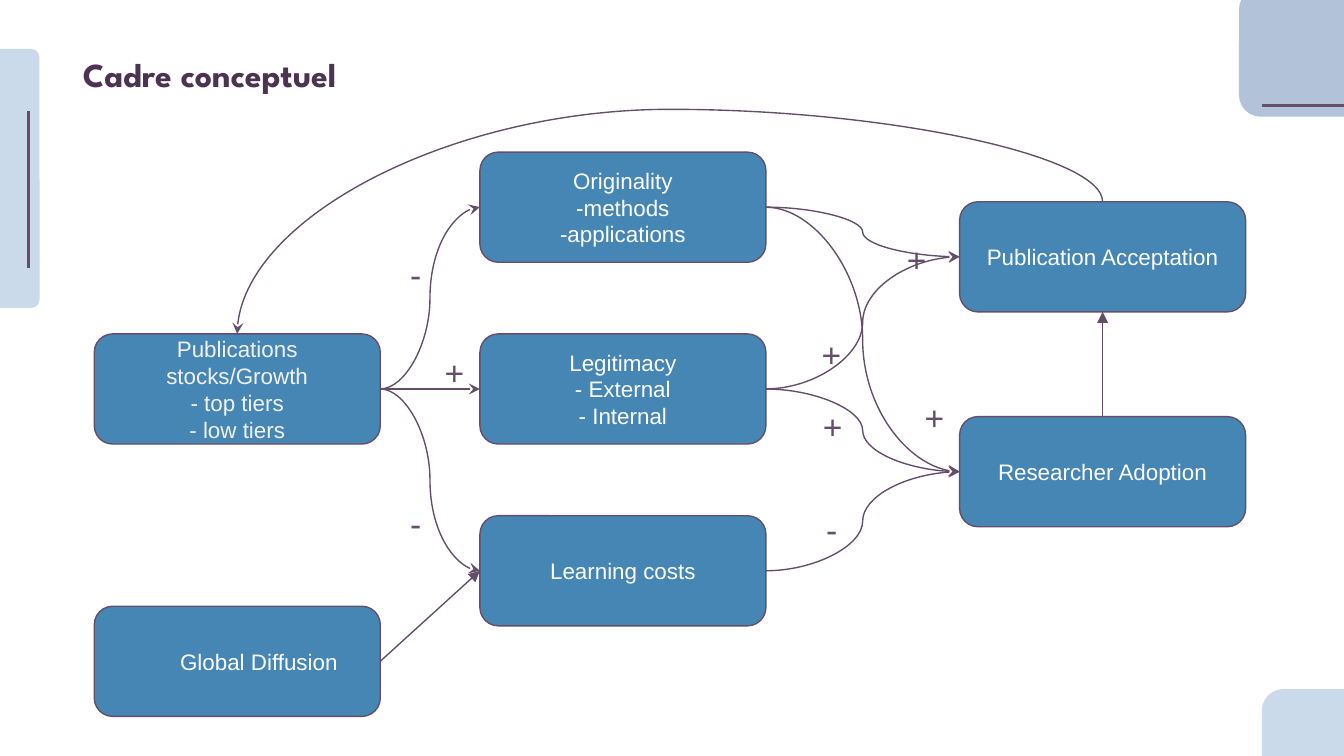
"""Build the conceptual framework slide, with its boxes, signs and arrows."""
from lxml.etree import SubElement
from pptx import Presentation
from pptx.dml.color import RGBColor
from pptx.enum.shapes import MSO_CONNECTOR, MSO_SHAPE
from pptx.enum.text import MSO_ANCHOR, PP_ALIGN
from pptx.oxml.ns import qn
from pptx.util import Pt

COLORS = {
    "pale": "CADAEB", "steel": "B2C3D9", "box": "4586B5", "line": "654E6A",
    "title": "4C3352", "white": "FFFFFF", "light": "F2F2F2",
}
FORMATS = {
    "title": {"name": "League Spartan", "size": Pt(18), "bold": True},
    "sign": {"name": "Arial", "size": Pt(18)},
    "box": {"name": "Arial", "size": Pt(12)},
}
FRAME = {"word_wrap": True, "margin_left": Pt(7.2), "margin_right": Pt(7.2),
         "margin_top": Pt(7.2), "margin_bottom": Pt(7.2)}
BOX_WIDTH, BOX_HEIGHT = 153.2, 59
LEFT, MIDDLE, RIGHT = 50.5, 257.1, 514.1
TOP, LEFT_SIDE, BOTTOM, RIGHT_SIDE = range(4)


def write_text(shape, lines, style, color):
    frame = shape.text_frame
    for name, value in FRAME.items():
        setattr(frame, name, value)
    frame.text = "\n".join(lines)
    for paragraph in frame.paragraphs:
        for name, value in FORMATS[style].items():
            setattr(paragraph.font, name, value)
        paragraph.font.color.rgb = RGBColor.from_string(COLORS[color])


def style_connector(connector, width, arrowhead=None):
    connector.line.color.rgb = RGBColor.from_string(COLORS["line"])
    connector.line.width = Pt(width)
    properties = connector._element.spPr
    if arrowhead:
        SubElement(properties.find(qn("a:ln")), qn("a:tailEnd"), type=arrowhead)
    SubElement(properties, qn("a:effectLst"))


presentation = Presentation()
presentation.slide_width, presentation.slide_height = Pt(720), Pt(405)
slide = presentation.slides.add_slide(presentation.slide_layouts[6])
shapes = slide.shapes

decorations = [
    (-6, 26.2, 27.2, 138.8, "pale"),
    (663.8, -6.5, 74.2, 69, "steel"),
    (676, 369.2, 74.2, 69, "pale"),
]
for left, top, width, height, color in decorations:
    shape = shapes.add_shape(MSO_SHAPE.ROUNDED_RECTANGLE, Pt(left), Pt(top), Pt(width), Pt(height))
    shape.shadow.inherit = False
    shape.fill.solid()
    shape.fill.fore_color.rgb = RGBColor.from_string(COLORS[color])
    shape.line.fill.background()

for ends in [(15.2, 59.5, 15.2, 143.5), (728, 56.4, 676, 56.4)]:
    style_connector(shapes.add_connector(MSO_CONNECTOR.STRAIGHT, *map(Pt, ends)), 1.5)

title = shapes.add_textbox(Pt(37.3), Pt(21.6), Pt(563), Pt(45.4))
write_text(title, ["Cadre conceptuel"], "title", "title")

box_rows = [
    ("originality", MIDDLE, 81.5, ["Originality", "-methods", "-applications"], "white"),
    ("legitimacy", MIDDLE, 178.9, ["Legitimacy", "- External", "- Internal"], "white"),
    ("costs", MIDDLE, 276.3, ["Learning costs"], "white"),
    ("stocks", LEFT, 178.9, ["Publications stocks/Growth", "- top tiers", "- low tiers"], "light"),
    ("adoption", RIGHT, 223.2, ["Researcher Adoption"], "white"),
    ("acceptation", RIGHT, 108.1, ["Publication Acceptation"], "white"),
    ("diffusion", LEFT, 324.8, ["Global Diffusion"], "white"),
]
boxes = {}
for name, left, top, lines, color in box_rows:
    shape = shapes.add_shape(MSO_SHAPE.ROUNDED_RECTANGLE, Pt(left), Pt(top), Pt(BOX_WIDTH), Pt(BOX_HEIGHT))
    shape.shadow.inherit = False
    shape.fill.solid()
    shape.fill.fore_color.rgb = RGBColor.from_string(COLORS["box"])
    shape.line.color.rgb = RGBColor.from_string(COLORS["line"])
    shape.line.width = Pt(0.75)
    write_text(shape, lines, "box", color)
    shape.text_frame.vertical_anchor = MSO_ANCHOR.MIDDLE
    for paragraph in shape.text_frame.paragraphs:
        paragraph.alignment = PP_ALIGN.CENTER
    boxes[name] = shape

indented = boxes["diffusion"].text_frame.paragraphs[0]
indented.alignment = PP_ALIGN.LEFT
indented._p.get_or_add_pPr().set("marL", str(Pt(36)))

curve, straight = MSO_CONNECTOR.CURVE, MSO_CONNECTOR.STRAIGHT
links = [
    ("stocks", RIGHT_SIDE, "originality", LEFT_SIDE, curve, "stealth"),
    ("stocks", RIGHT_SIDE, "legitimacy", LEFT_SIDE, curve, "stealth"),
    ("stocks", RIGHT_SIDE, "costs", LEFT_SIDE, curve, "stealth"),
    ("originality", RIGHT_SIDE, "adoption", LEFT_SIDE, curve, "stealth"),
    ("legitimacy", RIGHT_SIDE, "adoption", LEFT_SIDE, curve, "stealth"),
    ("costs", RIGHT_SIDE, "adoption", LEFT_SIDE, curve, "stealth"),
    ("originality", RIGHT_SIDE, "acceptation", LEFT_SIDE, curve, "stealth"),
    ("legitimacy", RIGHT_SIDE, "acceptation", LEFT_SIDE, curve, "stealth"),
    ("adoption", TOP, "acceptation", BOTTOM, straight, "triangle"),
    ("diffusion", RIGHT_SIDE, "costs", LEFT_SIDE, straight, "triangle"),
    ("acceptation", TOP, "stocks", TOP, curve, "stealth"),
]
for start, start_side, end, end_side, kind, arrowhead in links:
    connector = shapes.add_connector(kind, 0, 0, 0, 0)
    connector.begin_connect(boxes[start], start_side)
    connector.end_connect(boxes[end], end_side)
    style_connector(connector, 0.75, arrowhead)

feedback = connector
span, drop = feedback.width, feedback.height
feedback.left += (span - drop) // 2
feedback.top += (drop - span) // 2
feedback.width, feedback.height = drop, span
transform = feedback._element.spPr.find(qn("a:xfrm"))
for name, value in {"rot": "16200000", "flipH": "1", "flipV": "1"}.items():
    transform.set(name, value)
adjustments = feedback._element.spPr.find(qn("a:prstGeom")).get_or_add_avLst()
SubElement(adjustments, qn("a:gd"), name="adj1", fmla="val -69900")

signs = [
    ("+", 231.1, 181.4), ("+", 478.8, 121), ("+", 433.1, 171.7), ("+", 488.2, 205.2),
    ("+", 433.8, 210.5), ("-", 212.6, 128.9), ("-", 212.6, 262), ("-", 435.5, 265.4),
]
for sign, left, top in signs:
    label = shapes.add_textbox(Pt(left), Pt(top), Pt(24.5 if sign == "+" else 20.9), Pt(36))
    write_text(label, [sign], "sign", "line")

presentation.save("out.pptx")
